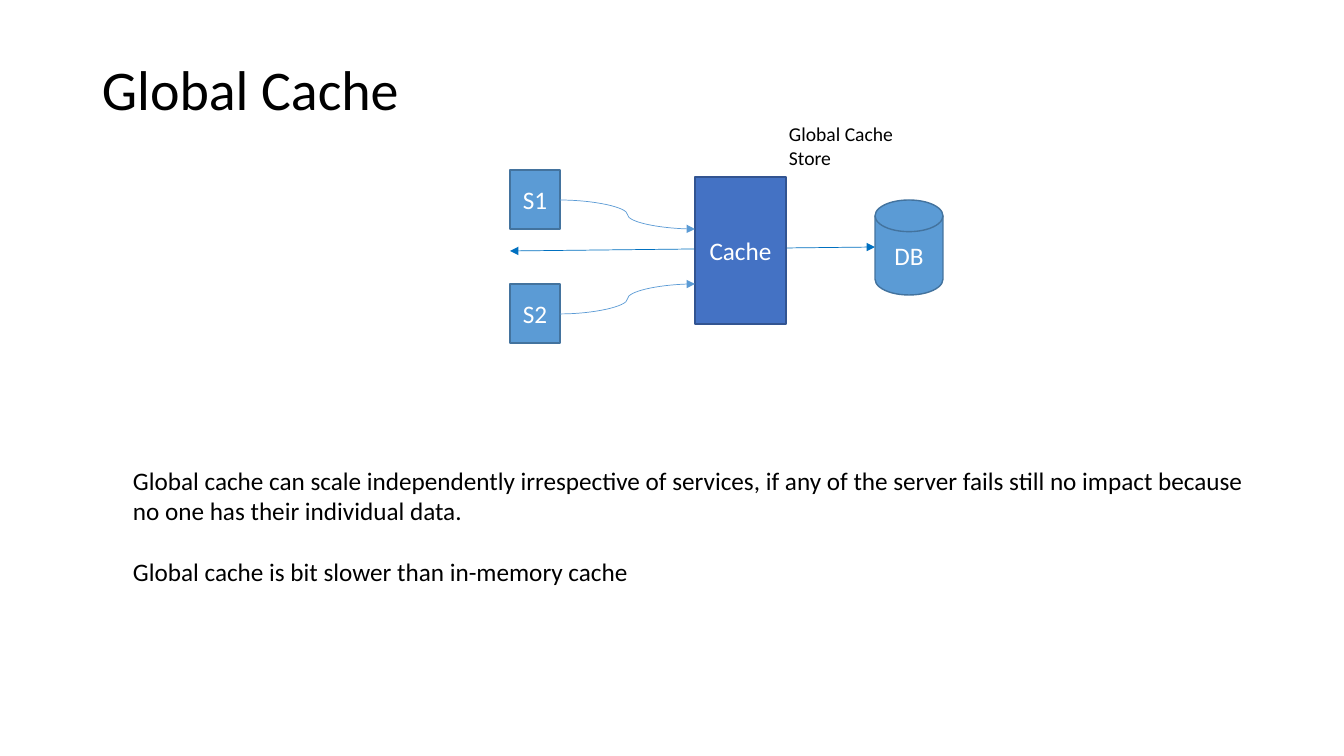
import pptx
import pptx.dml.color
import pptx.enum.shapes
import pptx.enum.text
import pptx.oxml.ns
import pptx.util
from lxml import etree

EMU_PER_PIXEL = 914400 / 100.8
SHAPE = pptx.enum.shapes.MSO_SHAPE
CONNECTOR = pptx.enum.shapes.MSO_CONNECTOR
ANCHOR = pptx.enum.text.MSO_ANCHOR
ALIGN = pptx.enum.text.PP_ALIGN
BLUE, BLUE_EDGE = "5B9BD5", "43739E"


def pixels(*values):
    """Turn pixel lengths into EMU."""
    return [round(value * EMU_PER_PIXEL) for value in values]


def color(value):
    """Turn a hex string into a colour."""
    return pptx.dml.color.RGBColor.from_string(value)


def write(shape, *lines, size=18, fill="000000", align=ALIGN.LEFT,
          anchor=ANCHOR.TOP, wrap=False, spacing=1.0, gaps=None):
    """Write one paragraph per line; gaps maps a line index to points before it."""
    frame = shape.text_frame
    frame.word_wrap = wrap
    frame.vertical_anchor = anchor
    for index, line in enumerate(lines):
        paragraph = frame.add_paragraph() if index else frame.paragraphs[0]
        paragraph.alignment = align
        paragraph.line_spacing = spacing
        paragraph.space_before = pptx.util.Pt((gaps or {}).get(index, 0))
        run = paragraph.add_run()
        run.text = line
        run.font.name = "Calibri"
        run.font.size = pptx.util.Pt(size)
        run.font.color.rgb = color(fill)


def add_text(slide, box, *lines, **text_format):
    """Add a text box."""
    write(slide.shapes.add_textbox(*pixels(*box)), *lines, **text_format)


def add_node(slide, label, box, kind=SHAPE.RECTANGLE, fill=BLUE, edge=BLUE_EDGE):
    """Add a filled shape with a centred white label."""
    shape = slide.shapes.add_shape(kind, *pixels(*box))
    shape.shadow.inherit = False
    shape.fill.solid()
    shape.fill.fore_color.rgb = color(fill)
    shape.line.color.rgb = color(edge)
    shape.line.width = pptx.util.Pt(1)
    write(shape, label, fill="FFFFFF", align=ALIGN.CENTER,
          anchor=ANCHOR.MIDDLE, wrap=True)


def add_arrow(slide, start, end, kind=CONNECTOR.CURVE, line_color=BLUE,
              ends=("tailEnd",)):
    """Add a thin connector with triangles at the named ends."""
    connector = slide.shapes.add_connector(kind, *pixels(*start, *end))
    connector.line.color.rgb = color(line_color)
    connector.line.width = pptx.util.Pt(0.5)
    outline = connector.line._get_or_add_ln()
    for name in ends:
        etree.SubElement(outline, pptx.oxml.ns.qn("a:" + name), type="triangle")
    etree.SubElement(connector._element.spPr, pptx.oxml.ns.qn("a:effectLst"))


def main():
    """Build the global cache slide."""
    presentation = pptx.Presentation()
    presentation.slide_width, presentation.slide_height = pixels(1344, 756)
    slide = presentation.slides.add_slide(presentation.slide_layouts[6])

    add_text(slide, (92, 40, 1159, 105), "Global Cache", size=40,
             anchor=ANCHOR.MIDDLE, wrap=True, spacing=0.9)

    services = (("S1", 170, 229), ("S2", 284, 284))
    for label, top, _ in services:
        add_node(slide, label, (510, top, 50, 59))
    add_node(slide, "DB", (875, 200, 68, 95), kind=SHAPE.FLOWCHART_MAGNETIC_DISK)
    add_arrow(slide, (510, 251), (875, 247), kind=CONNECTOR.STRAIGHT,
              line_color="0070C0", ends=("headEnd", "tailEnd"))
    add_node(slide, "Cache", (695, 177, 91, 147), fill="4472C4", edge="325491")
    for _, top, cache_entry in services:
        add_arrow(slide, (560, top + 30), (695, cache_entry))

    add_text(slide, (779, 117, 126, 58), "Global Cache", "Store", size=14)
    add_text(slide, (123, 460, 1144, 132),
             "Global cache can scale independently irrespective of services, "
             "if any of the server fails still no impact because",
             "no one has their individual data.",
             "Global cache is bit slower than in-memory cache", gaps={2: 22})
    presentation.save("out.pptx")


main()
